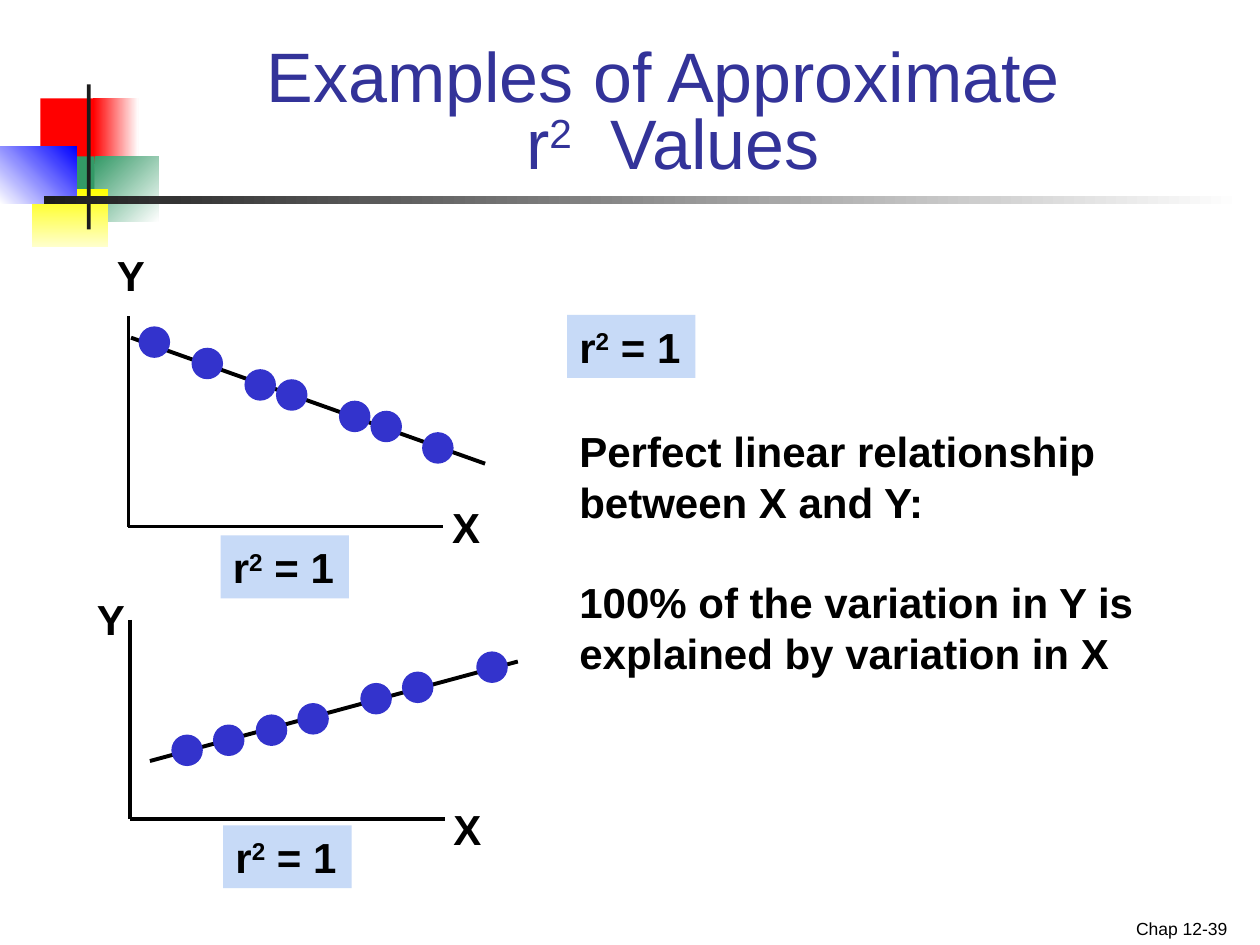
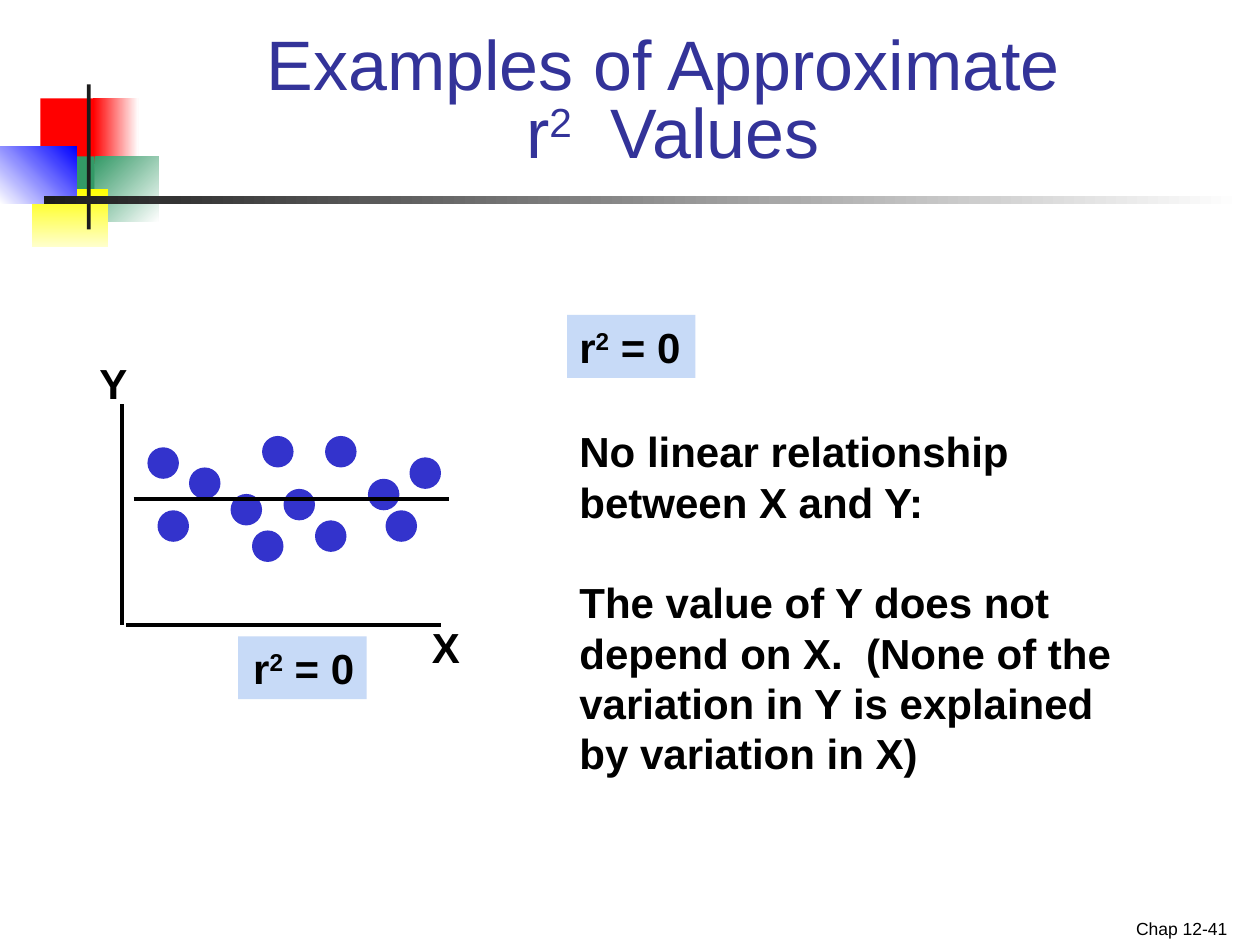
"""Build two slides showing scatter plots for r² = 1 and r² = 0."""
from lxml import etree
from pptx import Presentation
from pptx import util as u
from pptx.dml.color import RGBColor
from pptx.enum import shapes, text
from pptx.oxml.ns import qn

BLACK = RGBColor(0x00, 0x00, 0x00)
WHITE = RGBColor(0xFF, 0xFF, 0xFF)
RED = RGBColor(0xFF, 0x00, 0x00)
GREEN = RGBColor(0x33, 0x99, 0x66)
YELLOW = RGBColor(0xFF, 0xFF, 0x00)
CREAM = RGBColor(0xFF, 0xFF, 0xCC)
BLUE = RGBColor(0x00, 0x00, 0xFF)
CHARCOAL = RGBColor(0x1C, 0x1C, 0x1C)
TITLE_BLUE = RGBColor(0x33, 0x33, 0x99)
DOT_BLUE = RGBColor(0x33, 0x33, 0xCC)
LABEL_BLUE = RGBColor(0xC7, 0xDA, 0xF7)

FONT = "Arial"
BODY_SIZE = 24
BLANK_LINE = 28.7
DOT_SIZE = 0.25
AXIS_LENGTH = 2.5
AXIS_WIDTH = 2
LETTER_SIZE = (0.42, 0.5)
LABEL_SIZE = (1.02, 0.5)
TITLE_INSETS = (0.09, 0.05)

LEFT, CENTER, RIGHT = text.PP_ALIGN.LEFT, text.PP_ALIGN.CENTER, text.PP_ALIGN.RIGHT

# Each block: place, colours from start to end, clockwise angle.
DECORATION = [
    ((0.32, 0.78, 0.48, 0.52), (RED,), 0),
    ((0.74, 0.78, 0.36, 0.52), (RED, WHITE), 0),
    ((0.75, 1.24, 0.51, 0.52), (GREEN, WHITE), 45),
    ((0.43, 1.24, 0.32, 0.52), (GREEN,), 0),
    ((0.25, 1.5, 0.61, 0.46), (YELLOW, CREAM), 90),
    ((0, 1.16, 0.61, 0.46), (WHITE, BLUE), 315),
    ((0.69, 0.67, 0.03, 1.15), (CHARCOAL,), 0),
    ((0.35, 1.56, 9.51, 0.06), (CHARCOAL, WHITE), 0),
]

TITLE = [["Examples of Approximate ", "\n", "r", "²", "  Values"]]

SLIDES = [
    {
        "footer": "Chap 12-39",
        "title_height": 1.17,
        "r_squared": "1",
        "body_size": (4.83, 2.1),
        "body": ["Perfect linear relationship between X and Y:",
                 "100% of the variation in Y is explained by variation in X"],
        "plots": [
            {
                "y_axis": (1.02, 2.51), "x_axis": (1.02, 4.18),
                "y_letter": (0.83, 1.93), "x_letter": (3.49, 3.93),
                "label": (1.75, 4.25), "label_align": LEFT,
                "trend": ((3.85, 3.68), (1.04, 2.68)),
                "trend_width": 2.25, "trend_in_front": False,
                "dots": [(1.1, 2.59), (1.52, 2.76), (1.94, 2.93), (2.19, 3.01),
                         (2.69, 3.18), (2.94, 3.26), (3.35, 3.43)],
            },
            {
                "y_axis": (1.03, 4.92), "x_axis": (1.03, 6.5),
                "y_letter": (0.67, 4.66), "x_letter": (3.5, 6.33),
                "label": (1.77, 6.55), "label_align": LEFT,
                "trend": ((1.19, 6.04), (4.11, 5.25)),
                "trend_width": 2.25, "trend_in_front": False,
                "dots": [(1.36, 5.83), (1.69, 5.75), (2.03, 5.67), (2.36, 5.58),
                         (2.86, 5.42), (3.19, 5.33), (3.78, 5.17)],
            },
        ],
    },
    {
        "footer": "Chap 12-41",
        "title_height": 1.08,
        "r_squared": "0",
        "body_size": (4.58, 2.9),
        "body": ["No linear relationship between X and Y:",
                 "The value of Y does not depend on X.  "
                 "(None of the variation in Y is explained by variation in X)"],
        "plots": [
            {
                "y_axis": (0.97, 3.21), "x_axis": (1, 4.96),
                "y_letter": (0.69, 2.79), "x_letter": (3.33, 4.88),
                "label": (1.89, 5.05), "label_align": RIGHT,
                "trend": ((1.06, 3.96), (3.56, 3.96)),
                "trend_width": 2, "trend_in_front": True,
                "dots": [(1.17, 3.55), (1.25, 4.05), (1.5, 3.71), (1.83, 3.92),
                         (2, 4.21), (2.08, 3.46), (2.25, 3.88), (2.5, 4.13),
                         (2.58, 3.46), (2.92, 3.8), (3.06, 4.05), (3.25, 3.63)],
            },
        ],
    },
]


def inches(values):
    return [u.Inches(value) for value in values]


def add_filled(parent, kind, place, colours, angle=0):
    shape = parent.add_shape(kind, *inches(place))
    shape.shadow.inherit = False
    shape.line.fill.background()
    if len(colours) == 1:
        shape.fill.solid()
        shape.fill.fore_color.rgb = colours[0]
    else:
        shape.fill.gradient()
        shape.fill.gradient_angle = (360 - angle) % 360
        for stop, colour in zip(shape.fill.gradient_stops, colours):
            stop.color.rgb = colour
    return shape


def add_line(page, start, end, width):
    line = page.shapes.add_connector(shapes.MSO_CONNECTOR.STRAIGHT, *inches(start + end))
    line.line.color.rgb = BLACK
    line.line.width = u.Pt(width)
    etree.SubElement(line._element.spPr, qn("a:effectLst"))


def write(box, paragraphs, size=BODY_SIZE, colour=BLACK, bold=True, align=LEFT,
          wrap=False, spacing=None):
    frame = box.text_frame
    frame.word_wrap = wrap
    for index, pieces in enumerate(paragraphs):
        para = frame.add_paragraph() if index else frame.paragraphs[0]
        para.alignment = align
        if spacing:
            para.line_spacing = spacing
        if index:
            para.space_before = u.Pt(BLANK_LINE)
        for piece in pieces:
            if piece == "\n":
                para.add_line_break()
                continue
            span = para.add_run()
            span.text = "2" if piece == "²" else piece
            span.font.name = FONT
            span.font.size = u.Pt(size)
            span.font.bold = bold
            span.font.color.rgb = colour
            if piece == "²":
                span._r.get_or_add_rPr().set("baseline", "30000")


def add_text(page, place, paragraphs, **style):
    box = page.shapes.add_textbox(*inches(place))
    write(box, paragraphs, **style)
    return box


def add_bottom_text(page, place, paragraphs, **style):
    frame = add_text(page, place, paragraphs, bold=False, wrap=True, **style).text_frame
    frame.vertical_anchor = text.MSO_ANCHOR.BOTTOM
    side, edge = inches(TITLE_INSETS)
    frame.margin_left = frame.margin_right = side
    frame.margin_top = frame.margin_bottom = edge


def add_label(page, corner, value, align=LEFT):
    label = add_filled(page.shapes, shapes.MSO_SHAPE.RECTANGLE,
                       corner + LABEL_SIZE, (LABEL_BLUE,))
    write(label, [["r", "²", f" = {value}"]], align=align)
    label.text_frame.vertical_anchor = text.MSO_ANCHOR.TOP
    label.text_frame.auto_size = text.MSO_AUTO_SIZE.SHAPE_TO_FIT_TEXT


def add_plot(page, plot, value):
    x_left, x_level = plot["x_axis"]
    add_line(page, plot["y_axis"], (plot["y_axis"][0], x_level), AXIS_WIDTH)
    add_line(page, plot["x_axis"], (x_left + AXIS_LENGTH, x_level), AXIS_WIDTH)
    if not plot["trend_in_front"]:
        add_line(page, *plot["trend"], plot["trend_width"])
    for dot in plot["dots"]:
        add_filled(page.shapes, shapes.MSO_SHAPE.OVAL,
                   dot + (DOT_SIZE, DOT_SIZE), (DOT_BLUE,))
    if plot["trend_in_front"]:
        add_line(page, *plot["trend"], plot["trend_width"])
    for letter in "YX":
        corner = plot[f"{letter.lower()}_letter"]
        add_text(page, corner + LETTER_SIZE, [[letter]])
    add_label(page, plot["label"], value, plot["label_align"])


def add_frame(page, content):
    group = page.shapes.add_group_shape()
    for place, colours, angle in DECORATION:
        add_filled(group.shapes, shapes.MSO_SHAPE.RECTANGLE, place, colours, angle)
    add_bottom_text(page, (7.5, 7.15, 2.33, 0.35), [[content["footer"]]],
                    size=10, align=RIGHT)
    add_bottom_text(page, (1.08, 0.33, 8.52, content["title_height"]), TITLE,
                    size=40, colour=TITLE_BLUE, align=CENTER, spacing=0.8)


def main():
    deck = Presentation()
    deck.slide_width, deck.slide_height = inches((10, 7.5))
    for content in SLIDES:
        page = deck.slides.add_slide(deck.slide_layouts[6])
        add_frame(page, content)
        for plot in content["plots"]:
            add_plot(page, plot, content["r_squared"])
        add_label(page, (4.5, 2.5), content["r_squared"])
        add_text(page, (4.5, 3.33) + content["body_size"],
                 [[line] for line in content["body"]], wrap=True)
    deck.save("out.pptx")


if __name__ == "__main__":
    main()
